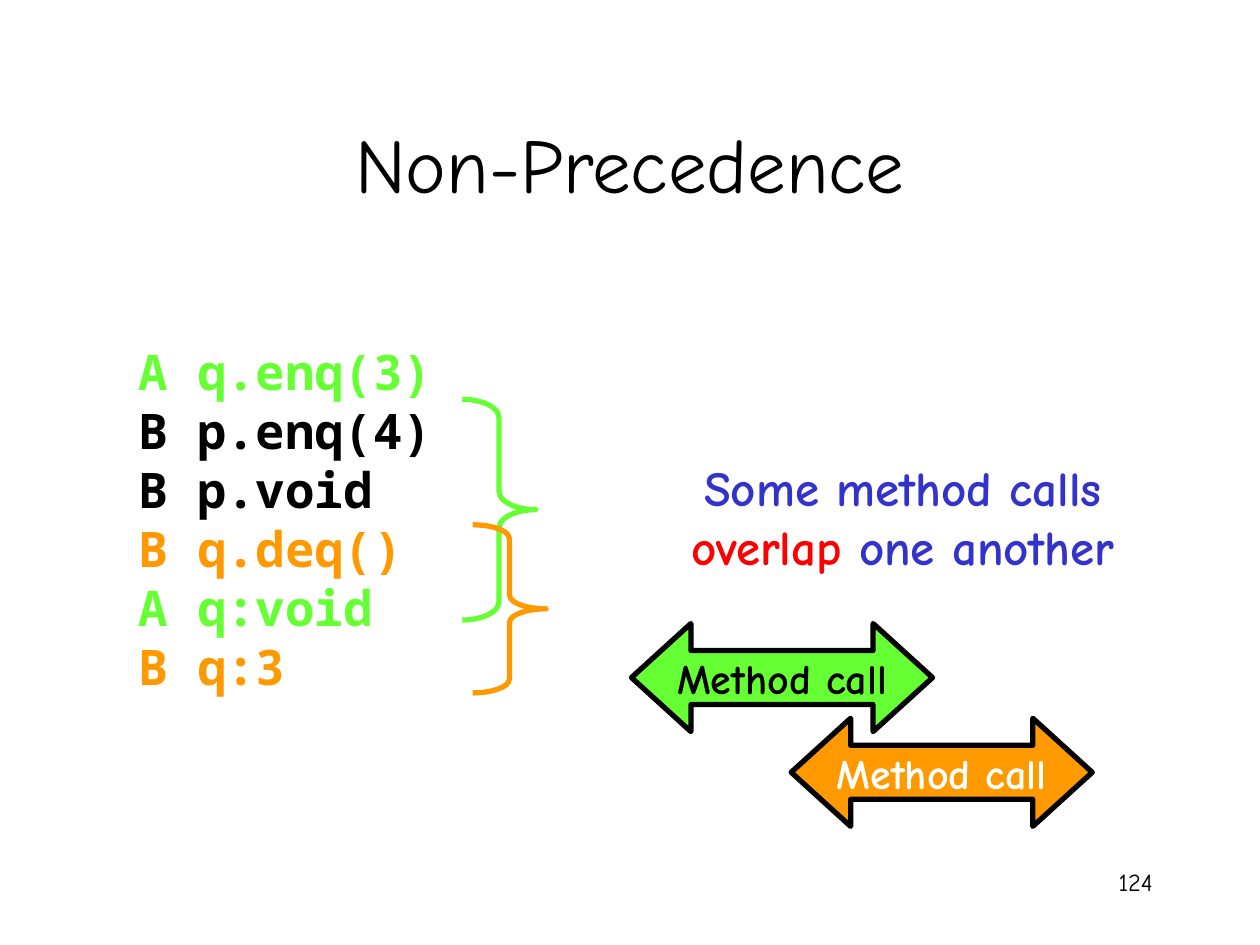
from dataclasses import dataclass

import pptx
import pptx.dml.color
import pptx.enum.shapes
import pptx.enum.text
import pptx.util
from pptx.dml.color import RGBColor
from pptx.util import Cm

BLACK = RGBColor(0x00, 0x00, 0x00)
WHITE = RGBColor(0xFF, 0xFF, 0xFF)
GREEN = RGBColor(0x66, 0xFF, 0x33)
ORANGE = RGBColor(0xFF, 0x99, 0x00)
BLUE = RGBColor(0x33, 0x33, 0xCC)
RED = RGBColor(0xFF, 0x00, 0x00)

PROSE_FONT = "Comic Neue"
CODE_FONT = "Noto Sans Mono"
LEFT = pptx.enum.text.PP_ALIGN.LEFT
CENTER = pptx.enum.text.PP_ALIGN.CENTER
RIGHT = pptx.enum.text.PP_ALIGN.RIGHT
MIDDLE = pptx.enum.text.MSO_ANCHOR.MIDDLE
PRESETS = pptx.enum.shapes.MSO_SHAPE


@dataclass(frozen=True)
class Box:
    left: float
    top: float
    width: float
    height: float

    def lengths(self) -> tuple:
        return Cm(self.left), Cm(self.top), Cm(self.width), Cm(self.height)


@dataclass(frozen=True)
class Span:
    text: str
    color: RGBColor = BLACK


@dataclass(frozen=True)
class TextStyle:
    size: int
    font: str = PROSE_FONT
    bold: bool = True
    align: pptx.enum.text.PP_ALIGN = CENTER


@dataclass(frozen=True)
class CallBrace:
    box: Box
    curl: float
    color: RGBColor


@dataclass(frozen=True)
class CallArrow:
    box: Box
    fill: RGBColor
    label_color: RGBColor


CODE_LINES = [
    [Span("A q.enq(3)", GREEN)],
    [Span("B p.enq(4)")],
    [Span("B p.void")],
    [Span("B q.deq()", ORANGE)],
    [Span("A q:void", GREEN)],
    [Span("B q:3", ORANGE)],
]
OVERLAP_REMARK = [
    [Span("Some method calls ", BLUE), Span("overlap", RED), Span(" one another", BLUE)],
]
BRACES = [
    CallBrace(Box(9.32, 8.05, 1.48, 4.45), 0.25, GREEN),
    CallBrace(Box(9.53, 10.58, 1.48, 3.39), 0.19, ORANGE),
]
ARROWS = [
    CallArrow(Box(12.73, 12.57, 6.07, 2.18), GREEN, BLACK),
    CallArrow(Box(15.95, 14.48, 6.07, 2.18), ORANGE, WHITE),
]


def write_lines(frame, lines: list[list[Span]], style: TextStyle) -> None:
    for index, spans in enumerate(lines):
        paragraph = frame.add_paragraph() if index else frame.paragraphs[0]
        paragraph.alignment = style.align
        for span in spans:
            run = paragraph.add_run()
            run.text = span.text
            run.font.name = style.font
            run.font.size = pptx.util.Pt(style.size)
            run.font.bold = style.bold
            run.font.color.rgb = span.color


def add_text(slide, box: Box, lines: list[list[Span]], style: TextStyle) -> None:
    frame = slide.shapes.add_textbox(*box.lengths()).text_frame
    frame.word_wrap = True
    write_lines(frame, lines, style)


def add_outlined(slide, preset, box: Box, adjustments: tuple, line_color: RGBColor):
    shape = slide.shapes.add_shape(preset, *box.lengths())
    shape.shadow.inherit = False
    for index, value in enumerate(adjustments):
        shape.adjustments[index] = value
    shape.line.color.rgb = line_color
    shape.line.width = pptx.util.Pt(3)
    return shape


def add_brace(slide, brace: CallBrace) -> None:
    shape = add_outlined(slide, PRESETS.RIGHT_BRACE, brace.box, (brace.curl, 0.5), brace.color)
    shape.fill.background()


def add_arrow(slide, arrow: CallArrow) -> None:
    shape = add_outlined(slide, PRESETS.LEFT_RIGHT_ARROW, arrow.box, (0.5, 0.55), BLACK)
    shape.fill.solid()
    shape.fill.fore_color.rgb = arrow.fill
    shape.text_frame.word_wrap = False
    shape.text_frame.vertical_anchor = MIDDLE
    write_lines(shape.text_frame, [[Span("Method call", arrow.label_color)]], TextStyle(24))


def main() -> None:
    deck = pptx.Presentation()
    deck.slide_width, deck.slide_height = Cm(25.4), Cm(19.05)
    slide = deck.slides.add_slide(deck.slide_layouts[5])

    title = slide.shapes.title
    title.left, title.top, title.width, title.height = Box(1.9, 1.69, 21.6, 3.18).lengths()
    title.text_frame.vertical_anchor = MIDDLE
    write_lines(title.text_frame, [[Span("Non-Precedence")]], TextStyle(44, bold=False))

    add_text(slide, Box(18.2, 17.36, 5.29, 1.27), [[Span("124")]],
             TextStyle(14, bold=False, align=RIGHT))
    add_text(slide, Box(2.54, 6.77, 7.75, 7.37), CODE_LINES,
             TextStyle(28, CODE_FONT, align=LEFT))
    green_brace, orange_brace = BRACES
    add_brace(slide, green_brace)
    add_text(slide, Box(13.12, 9.1, 10.16, 2.62), OVERLAP_REMARK, TextStyle(28))
    add_brace(slide, orange_brace)
    for arrow in ARROWS:
        add_arrow(slide, arrow)

    deck.save("out.pptx")


if __name__ == "__main__":
    main()
